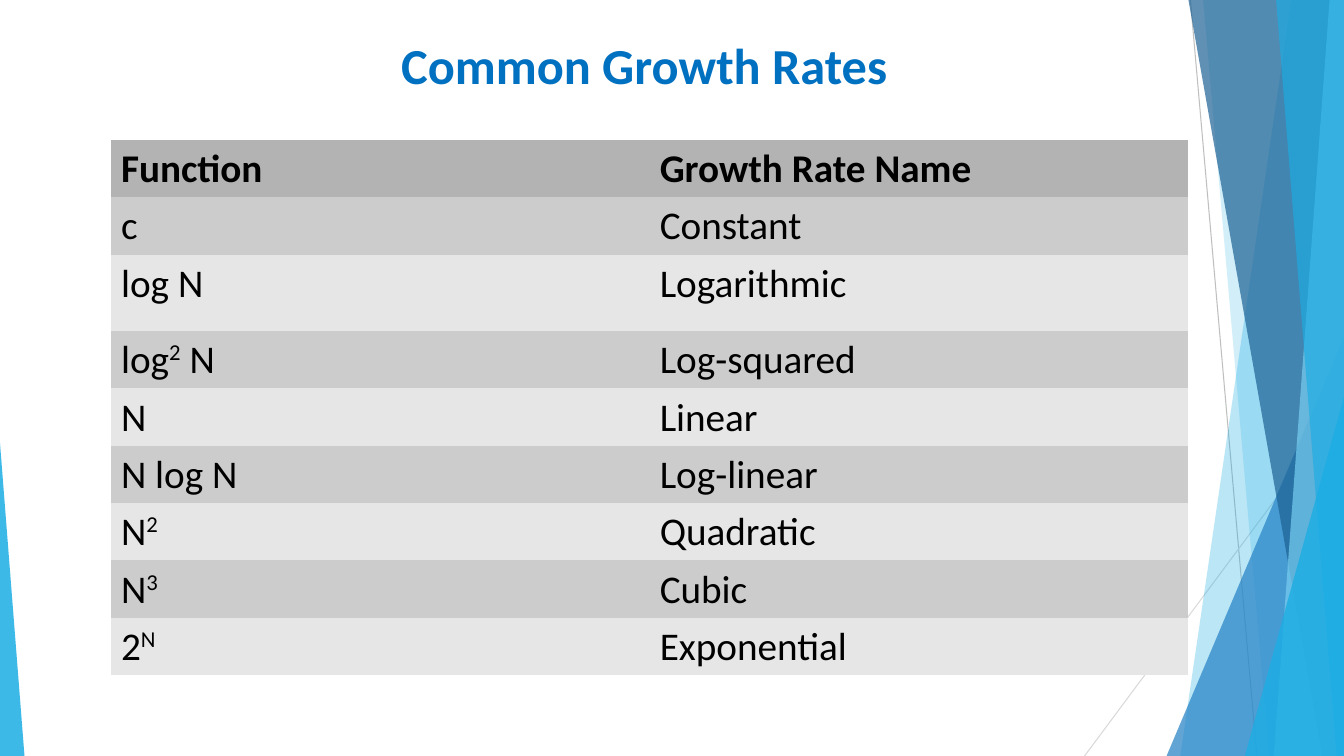
from lxml.etree import SubElement
from pptx import Presentation
from pptx.dml.color import RGBColor
from pptx.enum.shapes import MSO_CONNECTOR, MSO_SHAPE
from pptx.enum.text import PP_ALIGN
from pptx.oxml import parse_xml
from pptx.oxml.ns import nsdecls, qn
from pptx.util import Pt

WIDTH, HEIGHT = 960, 540
SKY = RGBColor(0x1C, 0xAD, 0xE4)
BLUE = RGBColor(0x26, 0x83, 0xC6)
NAVY = RGBColor(0x1D, 0x62, 0x94)
PALE_SKY = RGBColor(0x77, 0xCE, 0xEF)
TITLE_BLUE = RGBColor(0x00, 0x70, 0xC0)
BLACK = RGBColor(0x00, 0x00, 0x00)
SILVER = RGBColor(0xBF, 0xBF, 0xBF)
LIGHT_SILVER = RGBColor(0xD9, 0xD9, 0xD9)
HEADER_GRAY = RGBColor(0xB3, 0xB3, 0xB3)
BAND_GRAYS = (RGBColor(0xE6, 0xE6, 0xE6), RGBColor(0xCC, 0xCC, 0xCC))

TITLE_FORMAT = {"name": "Calibri", "size": Pt(36), "bold": True}
HEADER_FORMAT = {"name": "Calibri", "size": Pt(28), "bold": True}
BODY_FORMAT = {**HEADER_FORMAT, "bold": False}
CELL_MARGINS = {"margin_left": Pt(7.2), "margin_right": Pt(7.2),
                "margin_top": Pt(5), "margin_bottom": Pt(3.6)}


def add_text(paragraph, text, font_format, color):
    run = paragraph.add_run()
    run.text = text
    for attribute, value in font_format.items():
        setattr(run.font, attribute, value)
    run.font.color.rgb = color
    return run


def paint(facet, color, opacity):
    facet.shadow.inherit = False
    facet.line.fill.background()
    facet.fill.solid()
    facet.fill.fore_color.rgb = color
    color_node = facet.fill._xPr.find(qn("a:solidFill"))[0]
    SubElement(color_node, qn("a:alpha")).set("val", str(opacity * 1000))


deck = Presentation()
deck.slide_width, deck.slide_height = Pt(WIDTH), Pt(HEIGHT)
slide = deck.slides.add_slide(deck.slide_layouts[6])

# Thin crossing lines behind the facets
for x1, y1, x2, y2, color in (
    (850.3, 0, 897.8, HEIGHT, SILVER),
    (WIDTH, 290.9, 774.7, HEIGHT, LIGHT_SILVER),
):
    ray = slide.shapes.add_connector(
        MSO_CONNECTOR.STRAIGHT, Pt(x1), Pt(y1), Pt(x2), Pt(y2))
    ray.line.color.rgb = color
    ray.line.width = Pt(0.75)
    SubElement(ray._element.spPr, qn("a:effectLst"))

# Translucent facets, back to front: a band runs from its top x to its bottom x
# and out to the right edge; a wedge has left, top, width and apex position
for outline, color, opacity in (
    ((922.3, 843.1), SKY, 30),
    ((859.4, 906.5), SKY, 20),
    ((833.3, 240.5, 126.7, 1), BLUE, 72),
    ((848.9, 944.6), NAVY, 70),
    ((949.7, 909.8), PALE_SKY, 70),
    ((911.5, 954.7), SKY, 65),
    ((889.2, 283.5, 70.8, 1), SKY, 80),
    ((0, 316.6, 17.5, 0), SKY, 85),
):
    if len(outline) == 2:
        top_x, bottom_x = outline
        band = slide.shapes.build_freeform(Pt(top_x), 0)
        band.add_line_segments([(Pt(WIDTH), 0), (Pt(WIDTH), Pt(HEIGHT)),
                                (Pt(bottom_x), Pt(HEIGHT))])
        facet = band.convert_to_shape()
    else:
        left, top, width, apex = outline
        facet = slide.shapes.add_shape(
            MSO_SHAPE.ISOSCELES_TRIANGLE,
            Pt(left), Pt(top), Pt(width), Pt(HEIGHT - top))
        facet.adjustments[0] = apex
    paint(facet, color, opacity)

# Title
title = slide.shapes.add_textbox(Pt(249), Pt(21), Pt(430.6), Pt(55.4)).text_frame
title.word_wrap = True
title.paragraphs[0].alignment = PP_ALIGN.CENTER
add_text(title.paragraphs[0], "Common Growth Rates ", TITLE_FORMAT, TITLE_BLUE)

# Growth rate table: every second part of a cell is superscript
growth_rates = (
    (("Function",), ("Growth Rate Name",)),
    (("c",), ("Constant",)),
    (("log N",), ("Logarithmic",)),
    (("log", "2", " N"), ("Log-squared",)),
    (("N",), ("Linear",)),
    (("N log N",), ("Log-linear",)),
    (("N", "2"), ("Quadratic",)),
    (("N", "3"), ("Cubic",)),
    (("2", "N"), ("Exponential",)),
)
row_heights = [Pt(40.95)] * len(growth_rates)
row_heights[2] = Pt(54.7)
table = slide.shapes.add_table(
    len(growth_rates), 2, Pt(79.3), Pt(100), Pt(769.6), sum(row_heights)).table

for row_index, entries in enumerate(growth_rates):
    table.rows[row_index].height = row_heights[row_index]
    is_header = row_index == 0
    for column_index, parts in enumerate(entries):
        cell = table.cell(row_index, column_index)
        for attribute, value in CELL_MARGINS.items():
            setattr(cell, attribute, value)
        paragraph = cell.text_frame.paragraphs[0]
        paragraph.line_spacing = 0.93
        for part_index, part in enumerate(parts):
            run = add_text(paragraph, part,
                           HEADER_FORMAT if is_header else BODY_FORMAT, BLACK)
            if part_index % 2:
                run.font._element.set("baseline", "33000")
        # Hairline white borders come before the fill in the cell properties
        for side in ("lnL", "lnR", "lnT", "lnB"):
            cell._tc.get_or_add_tcPr().append(parse_xml(
                f'<a:{side} {nsdecls("a")} w="381"><a:solidFill>'
                f'<a:srgbClr val="FFFFFF"/></a:solidFill></a:{side}>'))
        cell.fill.solid()
        cell.fill.fore_color.rgb = (
            HEADER_GRAY if is_header else BAND_GRAYS[row_index % 2])

deck.save("out.pptx")
